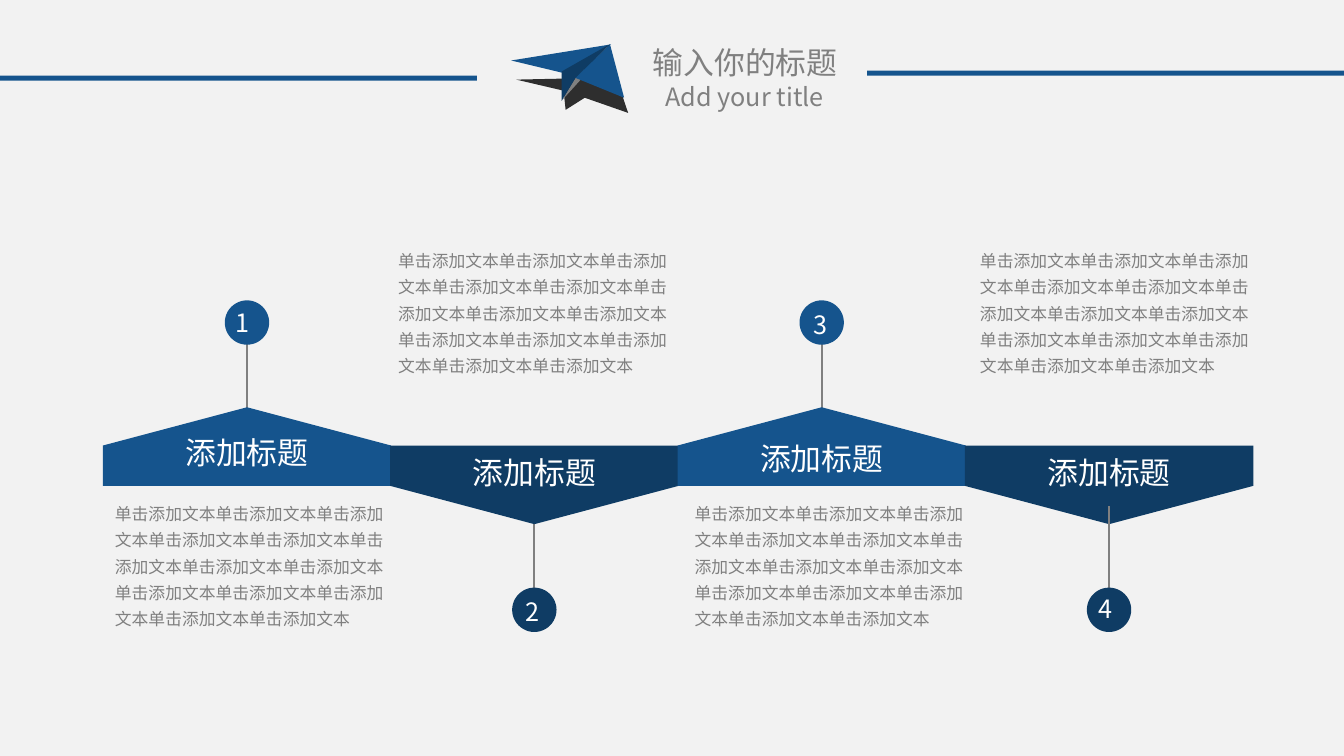
from collections import namedtuple

from lxml import etree
from pptx import Presentation
from pptx.dml.color import RGBColor
from pptx.enum import shapes, text
from pptx.oxml import ns
from pptx.util import Inches, Pt

FONT = "Noto Sans CJK SC"
BLUE = RGBColor(0x15, 0x54, 0x8D)
NAVY = RGBColor(0x0F, 0x3C, 0x64)
GRAY = RGBColor(0x80, 0x80, 0x80)
CHARCOAL = RGBColor(0x2E, 0x2E, 0x2E)
WHITE = RGBColor(0xFF, 0xFF, 0xFF)
PAPER = RGBColor(0xF2, 0xF2, 0xF2)

BODY = "单击添加文本" * 13
FIRST_CENTER, PITCH = 2.45, 2.85
BAND_DEPTH, BAND_WIDTH = 0.78, 2.86
BADGE = 0.44

# The label, number and body positions are set separately for each step.
Step = namedtuple("Step", "number label_top number_at body_at")
STEPS = [
    Step(1, 4.3, (2.24, 3.0), (1.07, 4.9)),
    Step(2, 4.49, (5.11, 5.87), (3.88, 2.39)),
    Step(3, 4.36, (7.97, 3.02), (6.82, 4.9)),
    Step(4, 4.49, (10.8, 5.84), (9.65, 2.39)),
]

PLANE = [
    (CHARCOAL, [(5.65, 0.73), (6.17, 0.94), (6.23, 1.12), (5.8, 0.97),
                (5.61, 1.09), (5.59, 0.9), (5.12, 0.79), (5.58, 0.78)]),
    (GRAY, [(5.71, 0.77), (5.76, 0.79), (5.57, 1.0)]),
    (BLUE, [(5.7, 0.77), (6.05, 0.44), (6.19, 0.97)]),
    (BLUE, [(5.57, 0.72), (6.06, 0.44), (5.07, 0.6)]),
    (NAVY, [(5.57, 0.71), (6.01, 0.46), (6.05, 0.44), (5.71, 0.77), (5.57, 1.0)]),
]


def paint(shape, color):
    shape.shadow.inherit = False
    shape.fill.solid()
    shape.fill.fore_color.rgb = color
    shape.line.fill.background()


def add_block(page, kind, left, top, width, height, color):
    shape = page.shapes.add_shape(
        kind, Inches(left), Inches(top), Inches(width), Inches(height))
    paint(shape, color)
    return shape


def add_text(page, content, left, top, width, height, *, size, color,
             align=None, spacing=None, wrap=True, insets=(0.1, 0.05)):
    box = page.shapes.add_textbox(
        Inches(left), Inches(top), Inches(width), Inches(height))
    frame = box.text_frame
    frame.word_wrap = wrap
    frame.auto_size = text.MSO_AUTO_SIZE.SHAPE_TO_FIT_TEXT
    frame.margin_left = frame.margin_right = Inches(insets[0])
    frame.margin_top = frame.margin_bottom = Inches(insets[1])
    para = frame.paragraphs[0]
    para.alignment = align
    para.line_spacing = spacing
    span = para.add_run()
    span.text = content
    span.font.size = Pt(size)
    span.font.color.rgb = color
    span.font.name = FONT
    east_asian = etree.SubElement(span.font._element, ns.qn("a:ea"))
    east_asian.set("typeface", FONT)


def add_stem(page, x, start, end):
    stem = page.shapes.add_connector(
        shapes.MSO_CONNECTOR.STRAIGHT,
        Inches(x), Inches(start), Inches(x), Inches(end))
    stem.line.color.rgb = GRAY
    stem.line.width = Pt(1.5)
    etree.SubElement(stem._element.spPr, ns.qn("a:effectLst"))


def step_layout(step):
    """Return the step's centre x, whether it points up, and its colour."""
    center = FIRST_CENTER + PITCH * (step.number - 1)
    points_up = step.number % 2 == 1
    return center, points_up, BLUE if points_up else NAVY


def add_pin(page, step):
    """Draw the stem with its numbered badge."""
    center, points_up, color = step_layout(step)
    start, end, badge_top = (3.36, 4.23, 2.98) if points_up else (5.88, 5.02, 5.83)
    add_stem(page, center, start, end)
    add_block(page, shapes.MSO_SHAPE.OVAL, center - BADGE / 2, badge_top,
              BADGE, BADGE, color)
    add_text(page, str(step.number), *step.number_at, 0.35, 0.4,
             size=18, color=WHITE, wrap=False)


def add_band(page, step):
    """Draw the pointed band with its label and body text."""
    center, points_up, color = step_layout(step)
    band = add_block(page, shapes.MSO_SHAPE.PENTAGON, center - BAND_DEPTH / 2,
                     3.0 if points_up else 3.38, BAND_DEPTH, BAND_WIDTH, color)
    band.rotation = 270 if points_up else 90
    band.adjustments[0] = 0.487
    add_text(page, "添加标题", center - 1.2, step.label_top, 2.4, 0.43,
             size=22, color=WHITE, align=text.PP_ALIGN.CENTER, spacing=0.9)
    add_text(page, BODY, *step.body_at, 2.84, 1.39,
             size=12, color=GRAY, spacing=1.3, insets=(0.07, 0.04))


def add_facet(page, color, points):
    start, *rest = [(Inches(x), Inches(y)) for x, y in points]
    builder = page.shapes.build_freeform(*start)
    builder.add_line_segments(rest, close=True)
    paint(builder.convert_to_shape(), color)


def add_header(page):
    for left, top in ((0, 0.75), (8.6, 0.7)):
        add_block(page, shapes.MSO_SHAPE.RECTANGLE, left, top, 4.73, 0.05, BLUE)
    add_text(page, "输入你的标题", 5.85, 0.38, 3.08, 0.47,
             size=22, color=GRAY, align=text.PP_ALIGN.CENTER)
    add_text(page, "Add your title", 6.05, 0.76, 2.67, 0.4,
             size=18, color=GRAY, align=text.PP_ALIGN.CENTER)
    for color, points in PLANE:
        add_facet(page, color, points)


def main():
    deck = Presentation()
    deck.slide_width, deck.slide_height = Inches(13.33), Inches(7.5)
    page = deck.slides.add_slide(deck.slide_layouts[6])
    page.background.fill.solid()
    page.background.fill.fore_color.rgb = PAPER

    # The last stem lies over its band; the others are tucked behind.
    *tucked, last = STEPS
    for step in tucked:
        add_pin(page, step)
    for step in STEPS:
        add_band(page, step)
    add_pin(page, last)
    add_header(page)
    deck.save("out.pptx")


if __name__ == "__main__":
    main()
